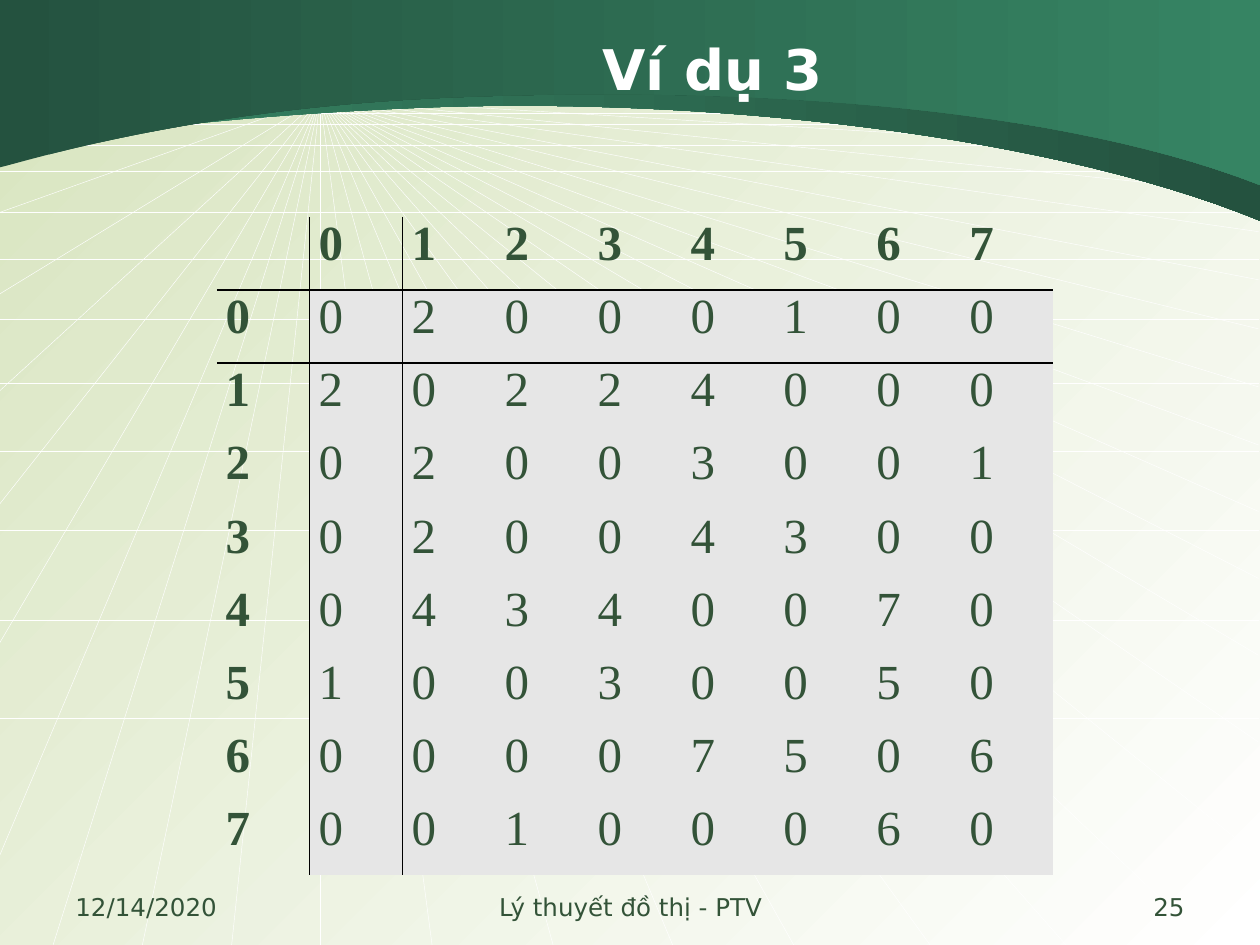
from dataclasses import dataclass

from lxml.etree import SubElement
from pptx import Presentation
from pptx.dml.color import RGBColor
from pptx.enum.shapes import MSO_CONNECTOR
from pptx.enum.text import MSO_ANCHOR, PP_ALIGN
from pptx.oxml.ns import qn
from pptx.util import Cm, Pt


@dataclass(frozen=True)
class Theme:
    pale: str = "D7E4BE"
    white: str = "FFFFFF"
    dark_green: str = "24523F"
    green: str = "368463"
    text: str = "335338"
    cell: str = "E6E6E6"
    rule: str = "000000"
    sans: str = "DejaVu Sans"
    serif: str = "Times New Roman"
    title_size: int = 32
    table_size: int = 28
    footer_size: int = 14


THEME = Theme()
NO_GRID_STYLE = "{2D5ABB26-0587-4C30-8999-92F81FD0307C}"
LEFT, RIGHT, BOTTOM = -0.03, 25.37, 19.05
VANISHING_POINT = (6.45, 1.98)
RAY_ENDS_RIGHT = [2.54, 3.12, 3.91, 4.67, 5.64, 6.63, 7.8, 8.97, 10.31, 11.66, 13.21, 14.96, 17.27]
RAY_ENDS_BOTTOM = [1.07, 2.87, 4.67, 6.45, 8.71, 11.15, 13.56, 16, 18.75, 21.49, 24.38]
RAY_ENDS_LEFT = [1.98, 2.46, 2.95, 4.29, 5.94, 7.9, 10.19, 13, 17.3]
HORIZONS = [2.13, 2.29, 2.5, 2.93, 3.45, 4.27, 5.23, 6.43, 7.72, 9.09, 10.69, 12.5, 14.48]

LOWER_BAND = [(LEFT, 3.02), (0.28, 3), (3.38, 2.36), (8.81, 2.16),
              (14.25, 1.98), (21.11, 2.69), (25.4, 4.45)]
UPPER_BAND = [(LEFT, 3.38), (0.28, 3.33), (3.84, 2.16), (9.25, 1.96),
              (14.66, 1.75), (21.11, 2.06), (25.4, 3.73)]

WEIGHTS = [
    [0, 2, 0, 0, 0, 1, 0, 0],
    [2, 0, 2, 2, 4, 0, 0, 0],
    [0, 2, 0, 0, 3, 0, 0, 1],
    [0, 2, 0, 0, 4, 3, 0, 0],
    [0, 4, 3, 4, 0, 0, 7, 0],
    [1, 0, 0, 3, 0, 0, 5, 0],
    [0, 0, 0, 0, 7, 5, 0, 6],
    [0, 0, 1, 0, 0, 0, 6, 0],
]


def color(value):
    return RGBColor.from_string(value)


def set_font(paragraph, name, size, value, bold=False):
    font = paragraph.font
    font.name, font.size, font.bold = name, Pt(size), bold
    font.color.rgb = color(value)


def set_gradient(fill, start, end, angle=0):
    fill.gradient()
    fill.gradient_angle = angle
    for stop, value, position in zip(fill.gradient_stops, (start, end), (0, 1)):
        stop.color.rgb = color(value)
        stop.position = position


def add_line(slide, start, end):
    points = [Cm(value) for value in (*start, *end)]
    connector = slide.shapes.add_connector(MSO_CONNECTOR.STRAIGHT, *points)
    connector.line.color.rgb = color(THEME.white)
    connector.line.width = Pt(0.25)
    SubElement(connector.element.spPr, qn("a:effectLst"))


def add_light_rays(slide):
    ends = [(RIGHT, y) for y in RAY_ENDS_RIGHT]
    ends += [(x, BOTTOM) for x in RAY_ENDS_BOTTOM]
    ends += [(LEFT, y) for y in RAY_ENDS_LEFT]
    for end in ends:
        add_line(slide, VANISHING_POINT, end)
    for y in HORIZONS:
        add_line(slide, (LEFT, y), (RIGHT, y))


def curve_point(controls, t):
    factors = ((1 - t) ** 3, 3 * t * (1 - t) ** 2, 3 * t ** 2 * (1 - t), t ** 3)
    return tuple(sum(f * point[axis] for f, point in zip(factors, controls)) for axis in (0, 1))


def add_band(slide, edge, start, end, steps=30):
    points = [edge[0]]
    for first in range(0, len(edge) - 1, 3):
        controls = edge[first:first + 4]
        points += [curve_point(controls, step / steps) for step in range(1, steps + 1)]
    points.append((edge[-1][0], 0))
    builder = slide.shapes.build_freeform(Cm(LEFT), 0)
    builder.add_line_segments([(Cm(x), Cm(y)) for x, y in points])
    band = builder.convert_to_shape()
    band.shadow.inherit = False
    band.line.fill.background()
    set_gradient(band.fill, start, end)


def set_title(slide, text):
    title = slide.shapes.title
    title.left, title.top, title.width, title.height = Cm(4.11), Cm(0.58), Cm(20.52), Cm(1.57)
    title.text_frame.text = text
    title.text_frame.vertical_anchor = MSO_ANCHOR.MIDDLE
    paragraph = title.text_frame.paragraphs[0]
    paragraph.alignment = PP_ALIGN.CENTER
    set_font(paragraph, THEME.sans, THEME.title_size, THEME.white, True)
    title.element.getparent().append(title.element)


def add_border(cell, side):
    properties = cell._tc.get_or_add_tcPr()
    line = SubElement(properties, qn(f"a:ln{side}"), w=str(Pt(1)))
    fill = SubElement(line, qn("a:solidFill"))
    SubElement(fill, qn("a:srgbClr"), val=THEME.rule)


def format_cell(cell, row, column):
    cell.margin_left = cell.margin_right = Cm(0.18)
    cell.margin_top = cell.margin_bottom = 0
    borders = {"L": column == 1, "R": column == 0, "T": row == 1, "B": row == 0}
    for side, visible in borders.items():
        if visible:
            add_border(cell, side)
    is_heading = row == 0 or column == 0
    if is_heading:
        cell.fill.background()
    else:
        cell.fill.solid()
        cell.fill.fore_color.rgb = color(THEME.cell)
    set_font(cell.text_frame.paragraphs[0], THEME.serif, THEME.table_size, THEME.text, is_heading)


def add_matrix(slide, weights):
    labels = list(range(len(weights)))
    rows = [["", *labels]] + [[label, *values] for label, values in zip(labels, weights)]
    frame = slide.shapes.add_table(len(rows), len(rows[0]), Cm(4.37), Cm(4.37), Cm(16.87), Cm(13.28))
    table = frame.table
    table.first_row = table.horz_banding = False
    next(frame.element.iter(qn("a:tableStyleId"))).text = NO_GRID_STYLE
    for row, values in enumerate(rows):
        for column, value in enumerate(values):
            cell = table.cell(row, column)
            cell.text = str(value)
            format_cell(cell, row, column)


def add_footer(slide, text, left, width, alignment):
    box = slide.shapes.add_textbox(Cm(left), Cm(17.86), Cm(width), Cm(0.89))
    box.text_frame.word_wrap = True
    box.text_frame.text = text
    paragraph = box.text_frame.paragraphs[0]
    paragraph.alignment = alignment
    set_font(paragraph, THEME.sans, THEME.footer_size, THEME.text)


def main():
    presentation = Presentation()
    presentation.slide_width, presentation.slide_height = Cm(25.4), Cm(19.05)
    slide = presentation.slides.add_slide(presentation.slide_layouts[5])
    set_gradient(slide.background.fill, THEME.pale, THEME.white, 315)
    add_light_rays(slide)
    add_band(slide, LOWER_BAND, THEME.green, THEME.dark_green)
    add_band(slide, UPPER_BAND, THEME.dark_green, THEME.green)
    set_title(slide, "Ví dụ 3")
    add_matrix(slide, WEIGHTS)
    add_footer(slide, "12/14/2020", 1.27, 5.92, PP_ALIGN.LEFT)
    add_footer(slide, "25", 18.21, 5.92, PP_ALIGN.RIGHT)
    add_footer(slide, "Lý thuyết đồ thị - PTV", 8.69, 8.05, PP_ALIGN.CENTER)
    presentation.save("out.pptx")


if __name__ == "__main__":
    main()
